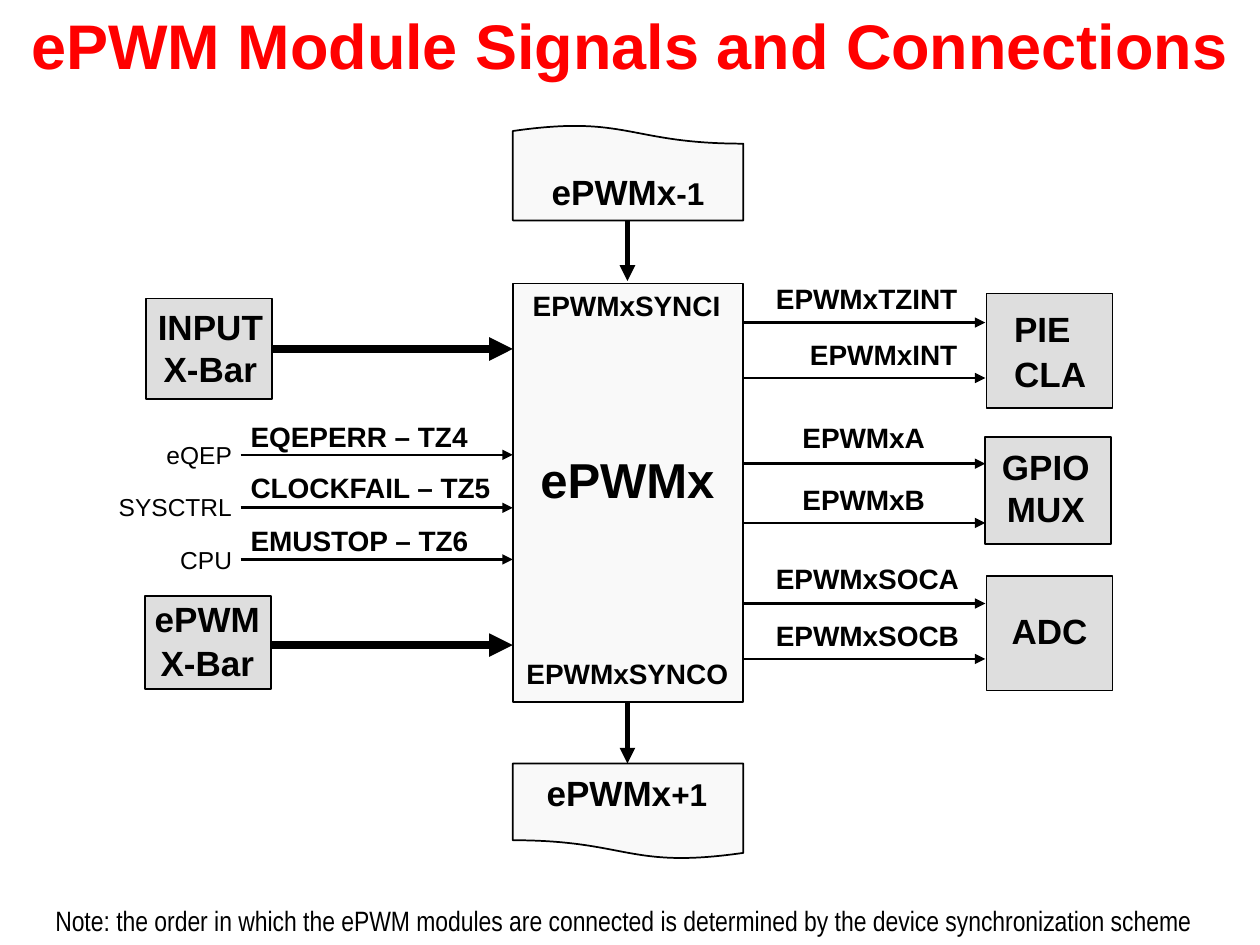
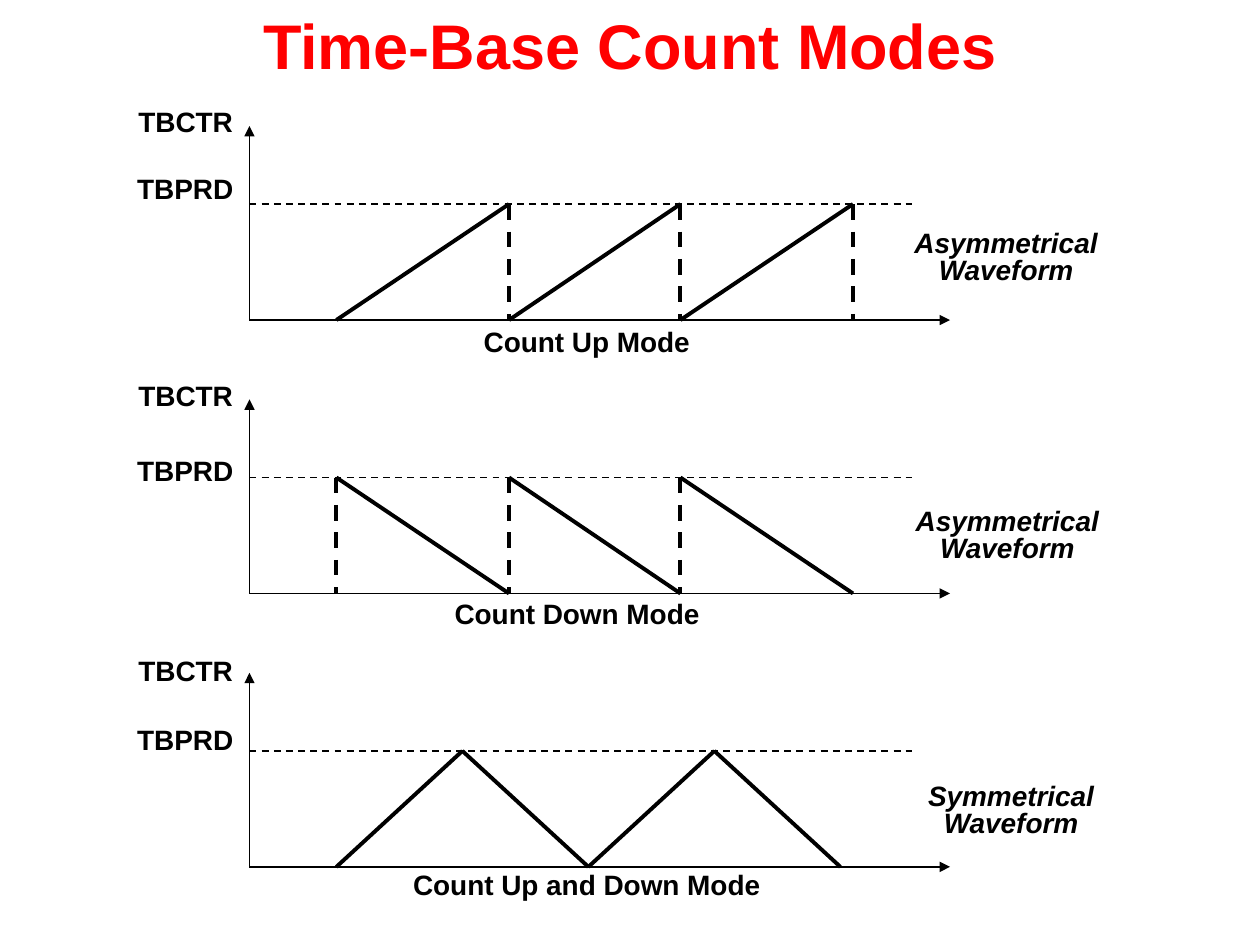
from dataclasses import dataclass

from lxml import etree
from pptx import Presentation
from pptx.dml.color import RGBColor
from pptx.enum.dml import MSO_LINE
from pptx.enum.shapes import MSO_CONNECTOR, MSO_SHAPE
from pptx.enum.text import MSO_ANCHOR, MSO_AUTO_SIZE, PP_ALIGN
from pptx.oxml.ns import qn
from pptx.slide import Slide
from pptx.util import Pt

PX = 9144  # EMU in one px, 100 px to the inch
WIDE, HIGH = 1000, 750

RED = RGBColor(0xFF, 0x00, 0x00)
BLACK = RGBColor(0x00, 0x00, 0x00)
PALE = RGBColor(0xF9, 0xF9, 0xF9)
GREY = RGBColor(0xDE, 0xDE, 0xDE)

SANS = "Arial"
NARROW = "Arial Narrow"

RECT = MSO_SHAPE.RECTANGLE
SHEET = MSO_SHAPE.FLOWCHART_DOCUMENT
STRAIGHT = MSO_CONNECTOR.STRAIGHT
DASH = MSO_LINE.DASH
LEFT, CENTER, RIGHT = PP_ALIGN.LEFT, PP_ALIGN.CENTER, PP_ALIGN.RIGHT
TOP, MIDDLE = MSO_ANCHOR.TOP, MSO_ANCHOR.MIDDLE
GROW = MSO_AUTO_SIZE.SHAPE_TO_FIT_TEXT


@dataclass(frozen=True)
class Label:
    x: int
    y: int
    w: int
    lines: tuple[str, ...]
    size: int = 16
    bold: bool = True
    slant: bool = False
    align: PP_ALIGN = LEFT
    gap: int = 0
    anchor: MSO_ANCHOR = TOP
    font: str = SANS
    suffix: str = ""


@dataclass(frozen=True)
class Box:
    x: int
    y: int
    w: int
    h: int
    fill: RGBColor = GREY
    kind: MSO_SHAPE = RECT
    flip: str = ""


@dataclass(frozen=True)
class Wire:
    x1: int
    y1: int
    x2: int
    y2: int
    width: float = 1.5
    arrow: bool = True
    dash: bool = False


@dataclass(frozen=True)
class Signal:
    name: str
    y: int
    x: int
    top: int
    w: int


@dataclass(frozen=True)
class Fault:
    source: str
    source_w: int
    name: str
    name_w: int
    y: int
    top: int


@dataclass(frozen=True)
class Panel:
    """One count mode; ramps holds u for a rise and d for a fall."""
    base: int
    count_y: int
    limit_y: int
    mode: str
    mode_x: int
    mode_y: int
    mode_w: int
    wave: str
    wave_x: int
    wave_y: int
    wave_w: int
    ramps: str
    span: int
    drops: bool


def add_run(para, text: str, size: int, font: str, color: RGBColor,
            bold: bool, slant: bool = False) -> None:
    run = para.add_run()
    run.text = text
    face = run.font
    face.name, face.size = font, Pt(size)
    face.bold, face.italic = bold, slant
    face.color.rgb = color


def add_label(slide: Slide, label: Label) -> None:
    count = len(label.lines)
    high = round(10 + 1.3 * label.size * count + 1.4 * label.gap * (count - 1))
    text = slide.shapes.add_textbox(
        label.x * PX, label.y * PX, label.w * PX, high * PX).text_frame
    text.word_wrap = False
    text.auto_size = GROW
    text.vertical_anchor = label.anchor
    for i, line in enumerate(label.lines):
        para = text.add_paragraph() if i else text.paragraphs[0]
        para.alignment = label.align
        para.line_spacing = 0.8
        para.space_before = Pt(label.gap)
        add_run(para, line, label.size, label.font, BLACK,
                label.bold, label.slant)
    if label.suffix:
        add_run(para, label.suffix, label.size - 2, label.font, BLACK,
                label.bold)


def add_box(slide: Slide, box: Box) -> None:
    shape = slide.shapes.add_shape(
        box.kind, box.x * PX, box.y * PX, box.w * PX, box.h * PX)
    shape.shadow.inherit = False
    shape.fill.solid()
    shape.fill.fore_color.rgb = box.fill
    shape.line.color.rgb = BLACK
    shape.line.width = Pt(1)
    if box.flip:
        shape._element.spPr.find(qn("a:xfrm")).set(box.flip, "1")


def add_wire(slide: Slide, wire: Wire) -> None:
    link = slide.shapes.add_connector(
        STRAIGHT, wire.x1 * PX, wire.y1 * PX, wire.x2 * PX, wire.y2 * PX)
    link.line.color.rgb = BLACK
    link.line.width = Pt(wire.width)
    if wire.dash:
        link.line.dash_style = DASH
    props = link._element.spPr
    if wire.arrow:
        etree.SubElement(props.find(qn("a:ln")), qn("a:tailEnd"),
                         type="triangle")
    etree.SubElement(props, qn("a:effectLst"))


def add_page(deck, title: str) -> Slide:
    slide = deck.slides.add_slide(deck.slide_layouts[6])
    text = slide.shapes.add_textbox(0, 0, WIDE * PX, 81 * PX).text_frame
    text.word_wrap = True
    text.vertical_anchor = MIDDLE
    text.margin_bottom = 16 * PX
    para = text.paragraphs[0]
    para.alignment = CENTER
    add_run(para, title, 36, SANS, RED, True)
    return slide


CORE_X, CORE_W = 407, 183
CORE_END = CORE_X + CORE_W
AXIS = 498
PORT = 782
FAULT_X, SOURCE_END = 189, 194

BOXES = (
    Box(CORE_X, 99, CORE_W, 76, PALE, SHEET, "flipV"),
    Box(CORE_X, 225, CORE_W, 332, PALE),
    Box(CORE_X, 606, CORE_W, 76, PALE, SHEET, "flipH"),
    Box(116, 237, 100, 80),
    Box(115, 473, 100, 74),
    Box(783, 233, 100, 91),
    Box(782, 347, 100, 85),
    Box(783, 457, 100, 91),
)

NAMES = (
    Label(428, 137, 142, ("ePWMx",), 20, suffix="-1"),
    Label(413, 229, 170, ("EPWMxSYNCI",)),
    Label(419, 361, 160, ("ePWMx",), 28),
    Label(408, 521, 181, ("EPWMxSYNCO",)),
    Label(424, 614, 150, ("ePWMx",), 20, suffix="+1"),
    Label(114, 244, 106, ("INPUT", "X-Bar"), 20, align=CENTER, gap=5),
    Label(112, 476, 105, ("ePWM", "X-Bar"), 20, align=CENTER, gap=6),
    Label(795, 246, 79, ("PIE", "CLA"), 20, gap=6),
    Label(784, 355, 92, ("GPIO", "MUX"), 20, align=CENTER, gap=5),
    Label(793, 485, 82, ("ADC",), 20),
    Label(34, 717, 931,
          ("Note: the order in which the ePWM modules are connected is "
           "determined by the device synchronization scheme",),
          bold=False, anchor=MIDDLE, font=NARROW),
)

BUSES = (
    Wire(AXIS, 175, AXIS, 223, 3),
    Wire(AXIS, 558, AXIS, 606, 3),
    Wire(215, 277, CORE_X, 277, 4.5),
    Wire(215, 512, CORE_X, 512, 4.5),
)

SIGNALS = (
    Signal("EPWMxTZINT", 256, 606, 224, 165),
    Signal("EPWMxINT", 300, 633, 268, 138),
    Signal("EPWMxA", 368, 627, 334, 119),
    Signal("EPWMxB", 415, 627, 383, 119),
    Signal("EPWMxSOCA", 479, 606, 446, 167),
    Signal("EPWMxSOCB", 523, 606, 491, 167),
)

FAULTS = (
    Fault("eQEP", 73, "EQEPERR – TZ4", 196, 361, 333),
    Fault("SYSCTRL", 111, "CLOCKFAIL – TZ5", 214, 403, 374),
    Fault("CPU", 62, "EMUSTOP – TZ6", 195, 444, 416),
)

PANELS = (
    Panel(254, 83, 136, "Count Up Mode", 374, 258, 185,
          "Asymmetrical", 715, 179, 167, "uuu", 410, True),
    Panel(471, 301, 360, "Count Down Mode", 351, 474, 216,
          "Asymmetrical", 716, 400, 167, "ddd", 410, True),
    Panel(688, 519, 574, "Count Up and Down Mode", 318, 689, 298,
          "Symmetrical", 726, 618, 153, "udud", 400, False),
)
ZERO, START, LIMIT_END, TIME_END = 198, 267, 724, 754
PEAK, RISE = 92, 154


def draw_links(deck) -> None:
    slide = add_page(deck, "ePWM Module Signals and Connections")
    for box in BOXES:
        add_box(slide, box)
    for bus in BUSES:
        add_wire(slide, bus)
    for sig in SIGNALS:
        add_wire(slide, Wire(CORE_END, sig.y, PORT, sig.y))
        add_label(slide, Label(sig.x, sig.top, sig.w, (sig.name,)))
    for fault in FAULTS:
        add_wire(slide, Wire(191, fault.y, CORE_X, fault.y))
        add_label(slide, Label(FAULT_X, fault.top, fault.name_w,
                               (fault.name,)))
        add_label(slide, Label(SOURCE_END - fault.source_w, fault.top + 16,
                               fault.source_w, (fault.source,), 14, False,
                               align=RIGHT))
    for name in NAMES:
        add_label(slide, name)


def draw_panel(slide: Slide, panel: Panel) -> None:
    base, peak = panel.base, panel.base - PEAK
    count = len(panel.ramps)
    stops = [START + round(panel.span * i / count) for i in range(count + 1)]
    for ramp, x1, x2 in zip(panel.ramps, stops, stops[1:]):
        y1, y2, crest = (base, peak, x2) if ramp == "u" else (peak, base, x1)
        add_wire(slide, Wire(x1, y1, x2, y2, 2.25, False))
        if panel.drops:
            add_wire(slide, Wire(crest, peak, crest, base, 2.25, False, True))
    add_wire(slide, Wire(ZERO, base, TIME_END, base, 1))
    add_wire(slide, Wire(ZERO, base, ZERO, base - RISE, 1))
    add_wire(slide, Wire(ZERO, peak, LIMIT_END, peak, 1, False, True))
    add_label(slide, Label(100, panel.count_y, 97, ("TBCTR",)))
    add_label(slide, Label(99, panel.limit_y, 99, ("TBPRD",)))
    add_label(slide, Label(panel.mode_x, panel.mode_y, panel.mode_w,
                           (panel.mode,)))
    add_label(slide, Label(panel.wave_x, panel.wave_y, panel.wave_w,
                           (panel.wave, "Waveform"), slant=True,
                           align=CENTER))


def main() -> None:
    deck = Presentation()
    deck.slide_width, deck.slide_height = WIDE * PX, HIGH * PX
    draw_links(deck)
    modes = add_page(deck, "Time-Base Count Modes")
    for panel in PANELS:
        draw_panel(modes, panel)
    deck.save("out.pptx")


if __name__ == "__main__":
    main()
